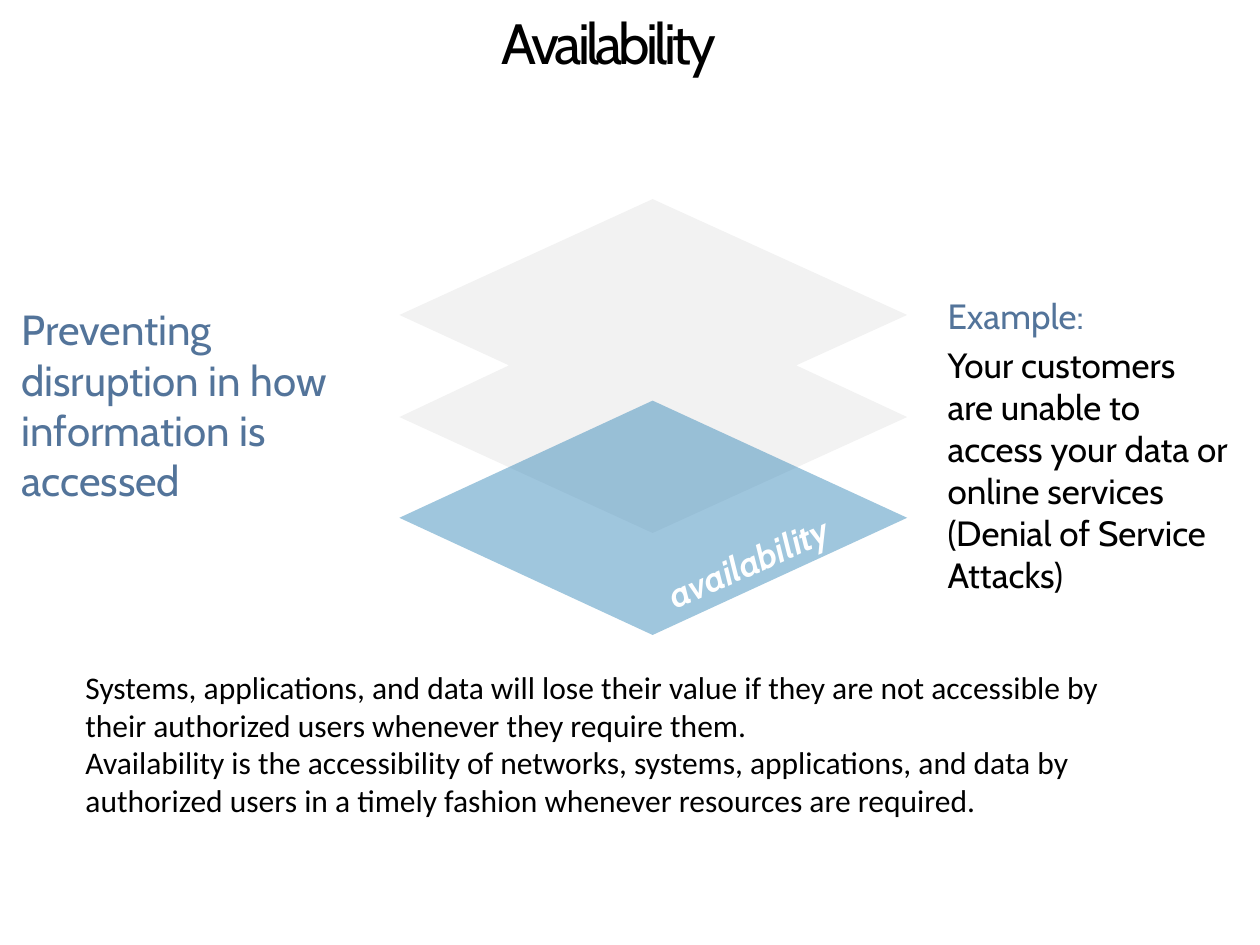
from typing import NamedTuple

from lxml.etree import SubElement
from pptx import Presentation
from pptx.dml.color import RGBColor
from pptx.enum.text import MSO_ANCHOR, MSO_AUTO_SIZE, PP_ALIGN
from pptx.oxml.ns import qn
from pptx.util import Emu, Pt

SCALE = 9144
STEEL = "53749A"
BLACK = "000000"
WHITE = "FFFFFF"


class Box(NamedTuple):
    left: int
    top: int
    width: int
    height: int


class Line(NamedTuple):
    text: str
    color: str = BLACK
    before: float = 0


class Layer(NamedTuple):
    points: list[tuple[int, int]]
    color: str
    alpha: int


LAYERS = [
    Layer([(720, 250), (518, 158), (317, 250), (404, 290), (317, 331),
           (518, 423), (720, 331), (632, 290)], BLACK, 5),
    Layer([(720, 411), (518, 318), (317, 411), (518, 504)], "2B81B5", 45),
]


def px(size: int) -> Emu:
    return Emu(size * SCALE)


def paint(form, color: str) -> None:
    form.rgb = RGBColor.from_string(color)


def place(shape, box: Box) -> None:
    shape.left, shape.top, shape.width, shape.height = map(px, box)


def write(shape, lines: list[Line], *, size: float, font: str = "Cabin",
          inset: tuple[int, int, int, int] = (0, 1, 0, 0),
          align=PP_ALIGN.LEFT, anchor=MSO_ANCHOR.TOP, wrap: bool = True,
          bold: bool = False, italic: bool = False, track: int = 0) -> None:
    """Fill a shape with lines that share one format."""
    frame = shape.text_frame
    frame.auto_size = MSO_AUTO_SIZE.NONE
    frame.word_wrap = wrap
    frame.vertical_anchor = anchor
    (frame.margin_left, frame.margin_top,
     frame.margin_right, frame.margin_bottom) = map(px, inset)
    for i, line in enumerate(lines):
        para = frame.add_paragraph() if i else frame.paragraphs[0]
        para.text = line.text
        para.alignment = align
        para.space_before = Pt(line.before)
        for run in para.runs:
            run.font.name = font
            run.font.size = Pt(size)
            run.font.bold = bold
            run.font.italic = italic
            paint(run.font.color, line.color)
            if track:
                run.font._element.set("spc", str(track))


def draw(slide, layer: Layer) -> None:
    pen = slide.shapes.build_freeform(*layer.points[0], scale=SCALE)
    pen.add_line_segments(layer.points[1:], close=True)
    shape = pen.convert_to_shape()
    shape.shadow.inherit = False
    shape.line.fill.background()
    shape.fill.solid()
    paint(shape.fill.fore_color, layer.color)
    tint = shape._element.spPr.find(qn("a:solidFill"))[0]
    SubElement(tint, qn("a:alpha"), val=str(layer.alpha * 1000))


def label(slide, box: Box, lines: list[Line], turn: float = 0, **style) -> None:
    shape = slide.shapes.add_textbox(*map(px, box))
    shape.rotation = turn
    write(shape, lines, **style)


def main() -> None:
    deck = Presentation()
    deck.slide_width, deck.slide_height = px(1000), px(750)
    slide = deck.slides.add_slide(deck.slide_layouts[5])

    title = slide.shapes.title
    place(title, Box(208, 4, 551, 63))
    write(title, [Line("Availability")], size=32.4, inset=(10, 1, 10, 5),
          align=PP_ALIGN.CENTER, anchor=MSO_ANCHOR.MIDDLE, track=-220)

    label(slide, Box(17, 240, 275, 247),
          [Line("Preventing disruption in how information is accessed", STEEL, 1)],
          size=24)
    for layer in LAYERS:
        draw(slide, layer)
    label(slide, Box(524, 428, 140, 36), [Line("availability", WHITE)], turn=-24,
          size=20, inset=(0, 0, 0, 0), align=PP_ALIGN.CENTER,
          anchor=MSO_ANCHOR.MIDDLE, wrap=False, bold=True, italic=True)
    label(slide, Box(752, 222, 225, 282),
          [Line("Example:", STEEL),
           Line("Your customers\vare unable to\vaccess your data or "
                "online services (Denial of Service Attacks)", before=4)],
          size=20, inset=(0, 12, 0, 0))
    label(slide, Box(58, 525, 850, 131),
          [Line("Systems, applications, and data will lose their value if they are "
                "not accessible by their authorized users whenever they require them."),
           Line("Availability is the accessibility of networks, systems, applications, "
                "and data by authorized users in a timely fashion whenever resources "
                "are required.")],
          size=18, font="Calibri", inset=(10, 5, 10, 5))
    deck.save("out.pptx")


if __name__ == "__main__":
    main()
